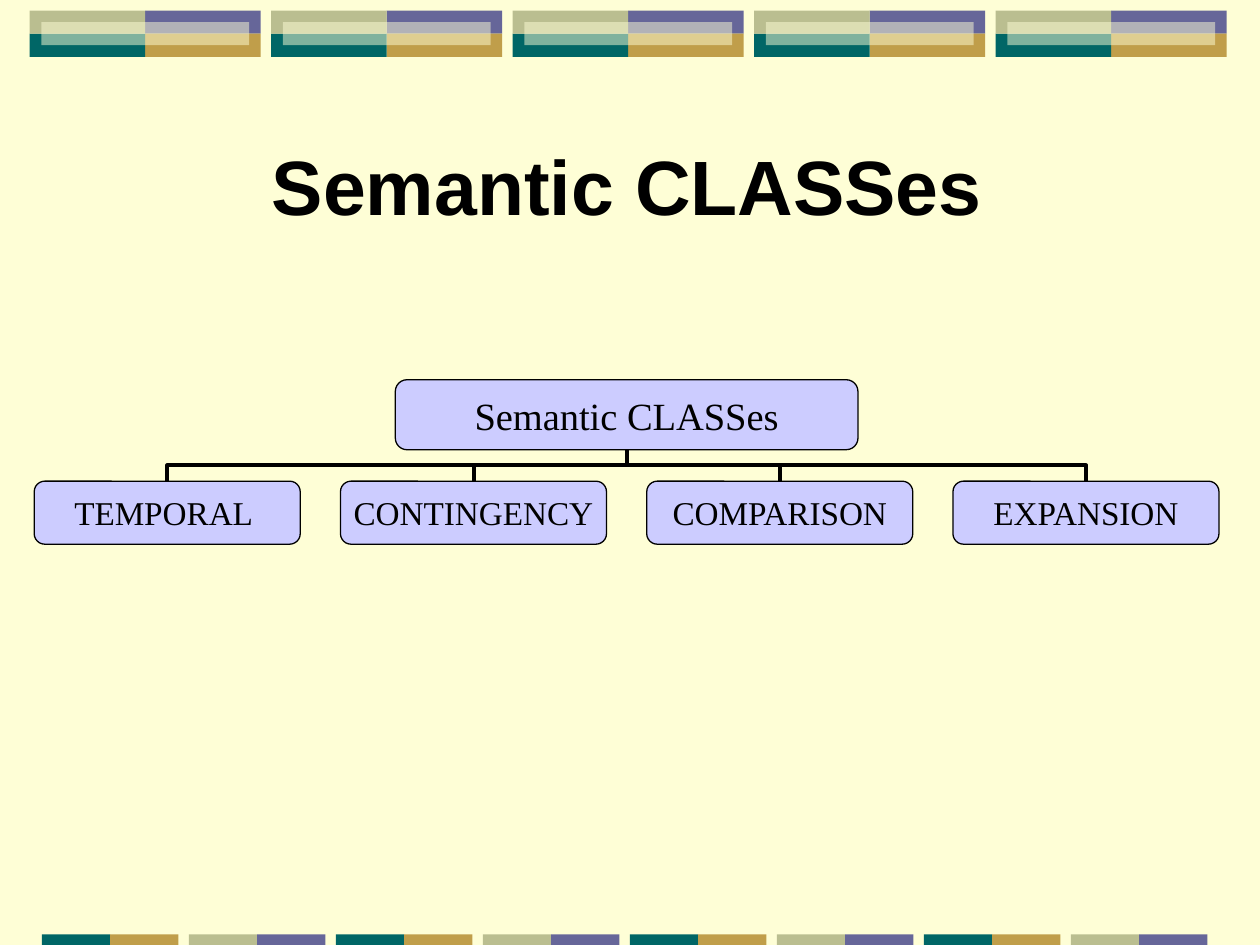
from lxml.etree import SubElement
from pptx import Presentation
from pptx.dml.color import RGBColor
from pptx.enum.shapes import MSO_CONNECTOR as CXN, MSO_SHAPE as SHAPE
from pptx.enum.text import MSO_ANCHOR as ANCHOR, PP_ALIGN as ALIGN
from pptx.oxml.ns import qn
from pptx.util import Pt

TEAL, GOLD, SAGE, VIOLET = "006666", "C09E4A", "BABE90", "666699"
CREAM, LILAC, BLACK = "FEFED6", "CCCCFF", "000000"
CLASSES = ["TEMPORAL ", "CONTINGENCY", "COMPARISON", "EXPANSION"]


def rgb(color):
    """Turn a hex string into a colour."""
    return RGBColor.from_string(color)


def add_box(s, x, y, w, h, fill, shape=SHAPE.RECTANGLE, line=None, alpha=None):
    """Add a filled preset shape, with an optional outline and opacity."""
    sp = s.shapes.add_shape(shape, Pt(x), Pt(y), Pt(w), Pt(h))
    sp.shadow.inherit = False
    sp.fill.solid()
    sp.fill.fore_color.rgb = rgb(fill)
    if alpha:
        clr = sp.fill._xPr.find(qn("a:solidFill"))[0]
        SubElement(clr, qn("a:alpha")).set("val", str(alpha * 1000))
    if line:
        sp.line.color.rgb = rgb(line)
        sp.line.width = Pt(0.75)
    else:
        sp.line.fill.background()
    return sp


def set_text(sp, text, size, font, bold=False, wrap=True, inset=7.2):
    """Write one centred line of text in a shape."""
    tf = sp.text_frame
    tf.word_wrap = wrap
    tf.vertical_anchor = ANCHOR.MIDDLE
    tf.margin_left = tf.margin_right = Pt(inset)
    tf.margin_top = tf.margin_bottom = Pt(3.6)
    p = tf.paragraphs[0]
    p.alignment = ALIGN.CENTER
    r = p.add_run()
    r.text = text
    r.font.name, r.font.size, r.font.bold = font, Pt(size), bold
    r.font.color.rgb = rgb(BLACK)


def add_top_band(s, x, y, pitch=138, w=66, h=13.2, count=5):
    """Draw the row of four-colour tiles with a pale bar on each."""
    for i in range(count):
        left = x + i * pitch
        for col, row, fill in [(1, 0, VIOLET), (1, 1, GOLD), (0, 1, TEAL), (0, 0, SAGE)]:
            add_box(s, left + col * w, y + row * h, w, h, fill)
        add_box(s, left + h / 2, y + h / 2, 2 * w - h, h, CREAM, alpha=50)


def add_bottom_band(s, x, y, pitch=84, w=39, h=6, count=8):
    """Draw the row of two-colour strips in alternating pairs."""
    for i in range(count):
        for col, fill in enumerate([(TEAL, GOLD), (SAGE, VIOLET)][i % 2]):
            add_box(s, x + i * pitch + col * w, y, w, h, fill)


def add_title(s, x, y, w, h, text):
    """Add the slide title."""
    sp = s.shapes.add_textbox(Pt(x), Pt(y), Pt(w), Pt(h))
    set_text(sp, text, 44, "Arial", bold=True)


def add_branch(s, child_x, child_y, root_x, root_y):
    """Link a child's top to the root's bottom with a turned elbow."""
    mid_x, mid_y = (child_x + root_x) / 2, (child_y + root_y) / 2
    half_w, half_h = abs(child_x - root_x) / 2, (child_y - root_y) / 2
    side = 1 if child_x > root_x else -1
    cxn = s.shapes.add_connector(
        CXN.ELBOW,
        Pt(mid_x - side * half_h), Pt(mid_y + half_w),
        Pt(mid_x + side * half_h), Pt(mid_y - half_w))
    cxn.rotation = 270 if side > 0 else 90
    cxn.line.color.rgb = rgb(BLACK)
    cxn.line.width = Pt(2.25)
    SubElement(cxn._element.spPr, qn("a:effectLst"))


def add_node(s, x, y, w, h, text, size):
    """Add one rounded box of the tree."""
    sp = add_box(s, x, y, w, h, LILAC, SHAPE.ROUNDED_RECTANGLE, line=BLACK)
    set_text(sp, text, size, "Times New Roman", wrap=False, inset=6.5)


def add_tree(s, x, y, w, h, root, children):
    """Draw a root box above an evenly spaced row of children."""
    root_w, root_h, child_w, child_h = 264.4, 40, 152, 36
    root_x, child_y = x + w / 2, y + h - child_h
    pitch = (w - child_w) / (len(children) - 1)
    lefts = [x + i * pitch for i in range(len(children))]
    for left in reversed(lefts):
        add_branch(s, left + child_w / 2, child_y, root_x, y + root_h)
    add_node(s, root_x - root_w / 2, y, root_w, root_h, root, 22)
    for left, text in zip(lefts, children):
        add_node(s, left, child_y, child_w, child_h, text, 19)


def main():
    """Build the slide and save it."""
    prs = Presentation()
    prs.slide_width, prs.slide_height = Pt(720), Pt(540)
    s = prs.slides.add_slide(prs.slide_layouts[6])
    s.background.fill.solid()
    s.background.fill.fore_color.rgb = rgb(CREAM)
    add_top_band(s, 17, 6.1)
    add_bottom_band(s, 24, 534)
    add_title(s, 25, 71.5, 667, 68.4, "Semantic CLASSes")
    add_tree(s, 19.6, 217, 677, 94, "Semantic CLASSes", CLASSES)
    prs.save("out.pptx")


if __name__ == "__main__":
    main()
